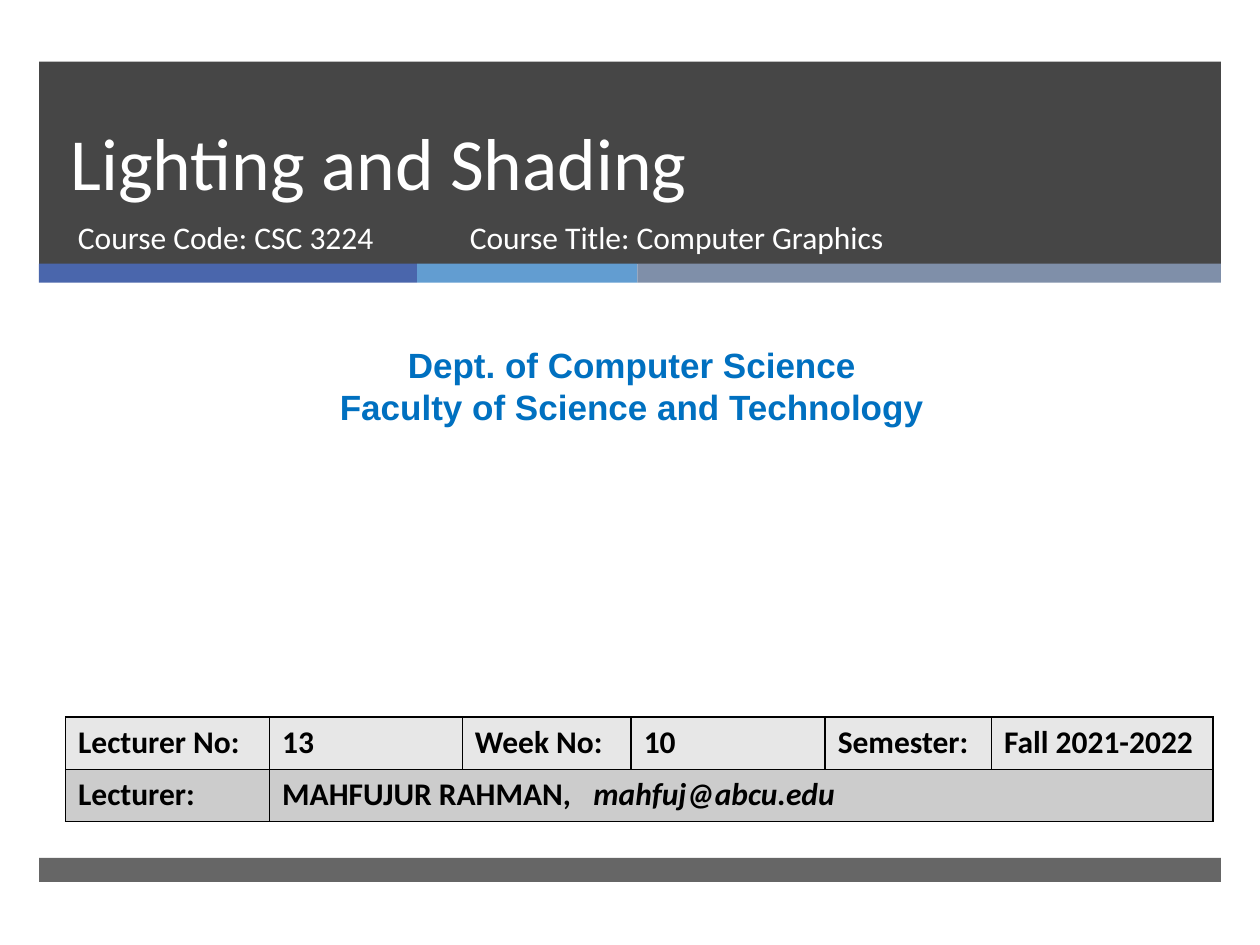
from dataclasses import dataclass
from itertools import accumulate

from lxml.etree import SubElement
from pptx import Presentation
from pptx.dml.color import RGBColor
from pptx.enum.shapes import MSO_SHAPE
from pptx.enum.text import MSO_ANCHOR, PP_ALIGN
from pptx.oxml.ns import qn
from pptx.util import Emu, Inches, Pt

WHITE = RGBColor(0xFF, 0xFF, 0xFF)
BLACK = RGBColor(0, 0, 0)
CHARCOAL = RGBColor(0x26, 0x26, 0x26)
INDIGO = RGBColor(0x4A, 0x66, 0xAC)
SKY = RGBColor(0x62, 0x9D, 0xD1)
SLATE = RGBColor(0x7F, 0x8F, 0xA9)
DEPT_BLUE = RGBColor(0x00, 0x70, 0xC0)
ROW_LIGHT = RGBColor(0xE7, 0xE7, 0xE7)
ROW_DARK = RGBColor(0xCC, 0xCC, 0xCC)

WIDTH, HEIGHT = Inches(10), Inches(7.5)
MARGIN, BAND_WIDTH = 3.1, 93.8  # percent of the slide width


@dataclass
class Box:
    """A frame in percent of the slide's width and height."""
    left: float
    top: float
    width: float
    height: float

    def emu(self) -> tuple[Emu, ...]:
        sizes = (WIDTH, HEIGHT, WIDTH, HEIGHT)
        shares = (self.left, self.top, self.width, self.height)
        return tuple(Emu(round(size * share / 100)) for size, share in zip(sizes, shares))


@dataclass
class Band:
    box: Box
    color: RGBColor
    opacity: int = 100


@dataclass
class Label:
    box: Box
    lines: list[str]
    size: int
    font: str = "Calibri"
    color: RGBColor = WHITE
    bold: bool = False
    align: PP_ALIGN = PP_ALIGN.LEFT
    anchor: MSO_ANCHOR = MSO_ANCHOR.TOP
    spacing: Pt | None = None


def style_run(r, size: int, font: str, color: RGBColor, bold: bool) -> None:
    r.font.size, r.font.name, r.font.bold = Pt(size), font, bold
    r.font.color.rgb = color


def draw_band(s, band: Band) -> None:
    sp = s.shapes.add_shape(MSO_SHAPE.RECTANGLE, *band.box.emu())
    sp.shadow.inherit = False
    sp.fill.solid()
    sp.fill.fore_color.rgb = band.color
    sp.line.fill.background()
    if band.opacity < 100:
        color = sp.fill._xPr.find(".//" + qn("a:srgbClr"))
        SubElement(color, qn("a:alpha"), val=str(band.opacity * 1000))


def draw_label(s, label: Label) -> None:
    tf = s.shapes.add_textbox(*label.box.emu()).text_frame
    tf.word_wrap = True
    tf.vertical_anchor = label.anchor
    tf.text = "\n".join(label.lines)
    for p in tf.paragraphs:
        p.alignment = label.align
        p.line_spacing = label.spacing
        for r in p.runs:
            style_run(r, label.size, label.font, label.color, label.bold)


def style_cell(cell, fill: RGBColor) -> None:
    """Black one-point borders, a plain fill and bold text."""
    tc_pr = cell._tc.get_or_add_tcPr()
    for side in ("a:lnL", "a:lnR", "a:lnT", "a:lnB"):
        ln = SubElement(tc_pr, qn(side), w=str(Pt(1)))
        SubElement(SubElement(ln, qn("a:solidFill")), qn("a:srgbClr"), val=str(BLACK))
    cell.fill.solid()
    cell.fill.fore_color.rgb = fill
    for r in cell.text_frame.paragraphs[0].runs:
        style_run(r, 18, "Calibri", BLACK, True)


def draw_lecture_table(s, box: Box, columns: list[float], top_row: list[str]) -> None:
    table = s.shapes.add_table(2, len(columns), *box.emu()).table
    for column, width in zip(table.columns, columns):
        column.width = Inches(width)
    for cell, text in zip(table.rows[0].cells, top_row):
        cell.text = text
    table.cell(1, 0).text = "Lecturer:"

    # Name and address share one merged cell, parted by a tab stop
    contact = table.cell(1, 1)
    contact.merge(table.cell(1, len(columns) - 1))
    p = contact.text_frame.paragraphs[0]
    p.text = "MAHFUJUR RAHMAN,\t"
    tabs = SubElement(p._p.get_or_add_pPr(), qn("a:tabLst"))
    SubElement(tabs, qn("a:tab"), pos=str(Inches(2.47)), algn="l")
    r = p.add_run()
    r.text = "mahfuj@abcu.edu"
    r.font.italic = True

    for row, fill in zip(table.rows, (ROW_LIGHT, ROW_DARK)):
        for cell in row.cells:
            style_cell(cell, fill)


def main() -> None:
    prs = Presentation()
    prs.slide_width, prs.slide_height = WIDTH, HEIGHT
    s = prs.slides.add_slide(prs.slide_layouts[6])

    # Header block, three-colour stripe and footer bar
    draw_band(s, Band(Box(MARGIN, 6.53, BAND_WIDTH, 21.4), CHARCOAL, 85))
    widths = [30, 17.5, 46.3]
    lefts = accumulate(widths[:-1], initial=MARGIN)
    for left, width, color in zip(lefts, widths, (INDIGO, SKY, SLATE)):
        draw_band(s, Band(Box(left, 27.9, width, 2), color))
    draw_band(s, Band(Box(MARGIN, 90.8, BAND_WIDTH, 2.53), CHARCOAL, 70))

    # Title, course details and department
    labels = [
        Label(Box(4.6, 6.53, 85.4, 15.87), ["Lighting and Shading"], 42,
              anchor=MSO_ANCHOR.BOTTOM, spacing=Pt(46)),
        Label(Box(5.2, 22.4, 30.5, 7.07), ["Course Code: CSC 3224"], 18),
        Label(Box(36.3, 22.4, 45.5, 7.07), ["Course Title: Computer Graphics"], 18),
        Label(Box(0.8, 35.73, 98.7, 10.27),
              ["Dept. of Computer Science", "Faculty of Science and Technology"],
              20, "Arial", DEPT_BLUE, True, PP_ALIGN.CENTER),
    ]
    for label in labels:
        draw_label(s, label)

    # Lecture details
    draw_lecture_table(
        s, Box(5.2, 75.87, 91.2, 11.07), [1.62, 1.53, 1.34, 1.54, 1.32, 1.76],
        ["Lecturer No:", "13", "Week No:", "10", "Semester:", "Fall 2021-2022"])

    prs.save("out.pptx")


if __name__ == "__main__":
    main()
